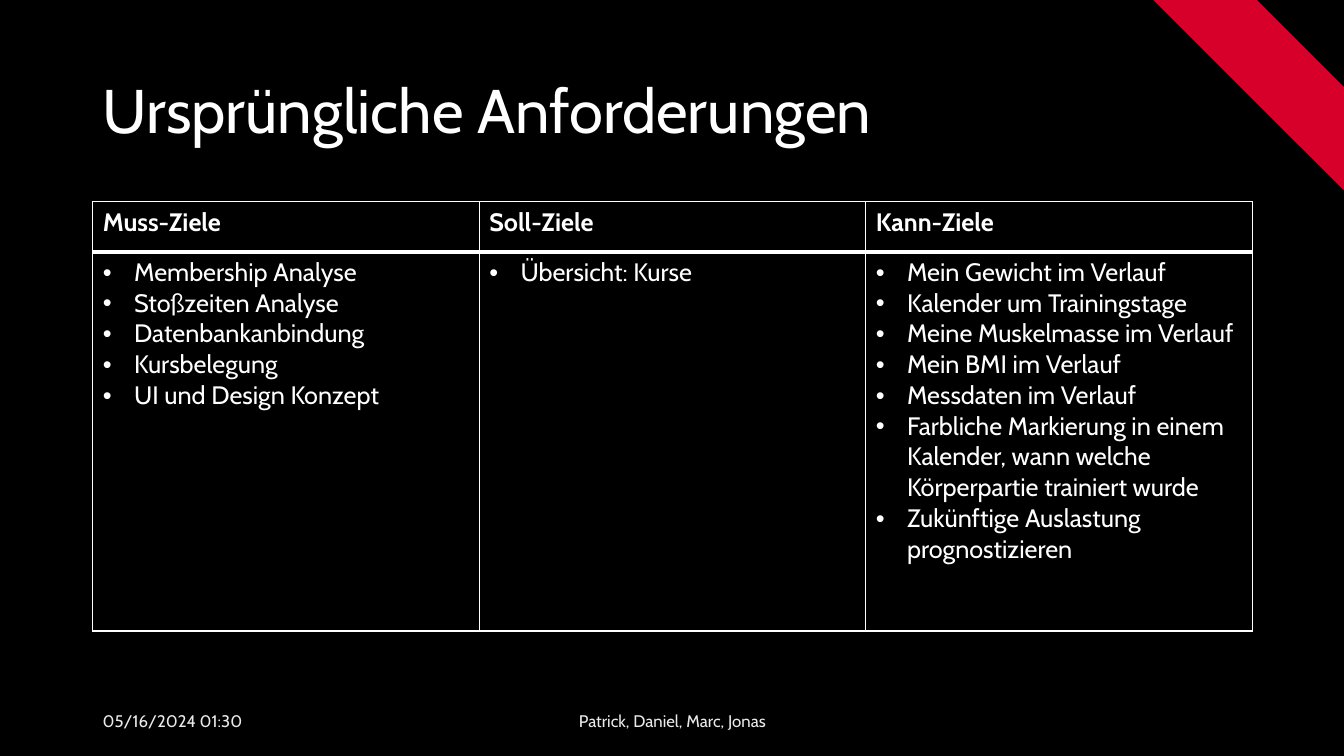
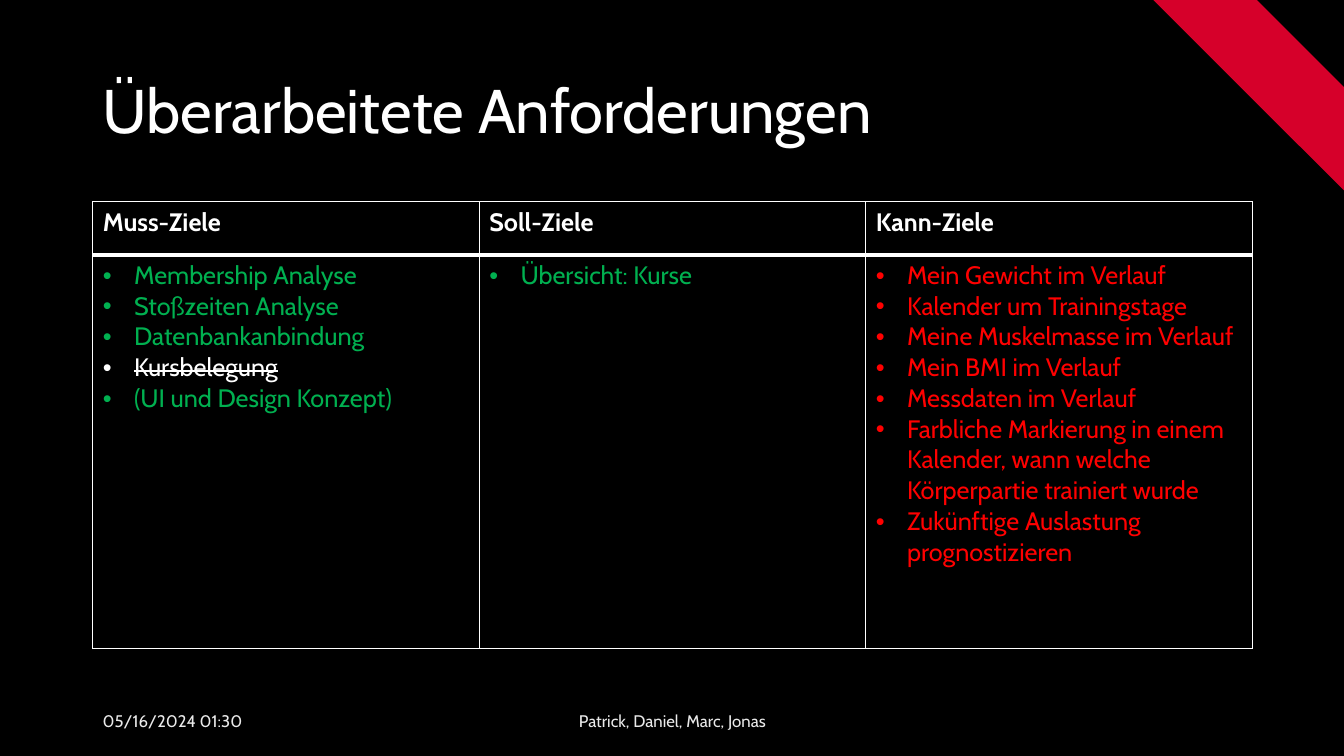
from pptx import Presentation
from pptx.dml.color import RGBColor
from pptx.enum import shapes, text
from pptx.oxml import parse_xml
from pptx.oxml.ns import nsdecls
from pptx.util import Inches, Pt

COLORS = {
    "black": "000000",
    "white": "FFFFFF",
    "footer": "EAEAEA",
    "stripe": "D6002A",
    "done": "00B050",
    "dropped": "FF0000",
}
FONT = "Cabin"
LEFT, WIDTH = 0.92, 11.5
HEADINGS = ["Muss-Ziele", "Soll-Ziele", "Kann-Ziele"]

muss = ["Membership Analyse", "Stoßzeiten Analyse", "Datenbankanbindung", "Kursbelegung"]
soll = ["Übersicht: Kurse"]
kann = [
    "Mein Gewicht im Verlauf",
    "Kalender um Trainingstage",
    "Meine Muskelmasse im Verlauf",
    "Mein BMI im Verlauf",
    "Messdaten im Verlauf",
    "Farbliche Markierung in einem Kalender, wann welche Körperpartie trainiert wurde",
]
requirements = [
    {
        "title": "Ursprüngliche Anforderungen",
        "rows": [0.5, 3.76],
        "goals": [
            muss + ["UI und Design Konzept"],
            soll,
            kann + ["Zukünftige Auslastung prognostizieren"],
        ],
        "colors": ["white", "white", "white"],
        "struck": [],
    },
    {
        "title": "Überarbeitete Anforderungen",
        "rows": [0.53, 3.9],
        "goals": [
            muss + ["(UI und Design Konzept)"],
            soll,
            kann + ["Zukünftige Auslastung prognostizieren"],
        ],
        "colors": ["done", "done", "dropped"],
        "struck": ["Kursbelegung"],
    },
]


def add_run(paragraph, words, size, color, bold=False):
    run = paragraph.add_run()
    run.text = words
    run.font.name = FONT
    run.font.size = Pt(size)
    run.font.bold = bold
    run.font.color.rgb = RGBColor.from_string(COLORS[color])
    return run


def add_label(slide, box, words, size, color, align=text.PP_ALIGN.LEFT, spacing=1.0):
    frame = slide.shapes.add_textbox(*map(Inches, box)).text_frame
    frame.word_wrap = True
    frame.vertical_anchor = text.MSO_ANCHOR.MIDDLE
    line = frame.paragraphs[0]
    line.alignment = align
    line.line_spacing = spacing
    add_run(line, words, size, color)


prs = Presentation()
prs.slide_width, prs.slide_height = Inches(13.33), Inches(7.5)
backdrop = prs.slide_master.background.fill
backdrop.solid()
backdrop.fore_color.rgb = RGBColor.from_string(COLORS["black"])

for page in requirements:
    slide = prs.slides.add_slide(prs.slide_layouts[6])

    stripe = slide.shapes.add_shape(
        shapes.MSO_SHAPE.DIAGONAL_STRIPE, Inches(11.39), Inches(-0.05), Inches(2.05), Inches(2.05)
    )
    stripe.rotation = 90
    stripe.shadow.inherit = False
    stripe.fill.solid()
    stripe.fill.fore_color.rgb = RGBColor.from_string(COLORS["stripe"])
    stripe.line.fill.background()

    add_label(slide, (LEFT, 0.4, WIDTH, 1.45), page["title"], 44, "white", spacing=0.9)

    goals = slide.shapes.add_table(
        2, len(HEADINGS), Inches(LEFT), Inches(2), Inches(WIDTH), Inches(sum(page["rows"]))
    ).table
    goals.horz_banding = False
    for row, height in zip(goals.rows, page["rows"]):
        row.height = Inches(height)

    for col, (heading, items, color) in enumerate(zip(HEADINGS, page["goals"], page["colors"])):
        goals.columns[col].width = Inches(WIDTH / len(HEADINGS))
        head, body = goals.cell(0, col), goals.cell(1, col)

        for cell, rule_side in ((head, "B"), (body, "T")):
            borders = cell._tc.get_or_add_tcPr()
            for side in "LRTB":
                weight = Pt(3 if side == rule_side else 1)
                borders.append(parse_xml(
                    f'<a:ln{side} {nsdecls("a")} w="{weight}"><a:solidFill>'
                    f'<a:srgbClr val="{COLORS["white"]}"/></a:solidFill></a:ln{side}>'
                ))
            cell.fill.solid()
            cell.fill.fore_color.rgb = RGBColor.from_string(COLORS["black"])

        add_run(head.text_frame.paragraphs[0], heading, 18, "white", bold=True)

        for index, item in enumerate(items):
            frame = body.text_frame
            goal = frame.add_paragraph() if index else frame.paragraphs[0]
            layout = goal._p.get_or_add_pPr()
            layout.set("marL", str(Inches(0.31)))
            layout.set("indent", str(-Inches(0.31)))
            layout.append(parse_xml(f'<a:buFont {nsdecls("a")} typeface="Arial"/>'))
            layout.append(parse_xml(f'<a:buChar {nsdecls("a")} char="•"/>'))
            struck = item in page["struck"]
            run = add_run(goal, item, 18, "white" if struck else color)
            if struck:
                run.font._element.set("strike", "sngStrike")

    add_label(slide, (LEFT, 6.95, 3, 0.4), "05/16/2024 01:30", 12, "footer")
    add_label(
        slide, (4.42, 6.95, 4.5, 0.4), "Patrick, Daniel, Marc, Jonas", 12, "footer",
        align=text.PP_ALIGN.CENTER,
    )

prs.save("out.pptx")
